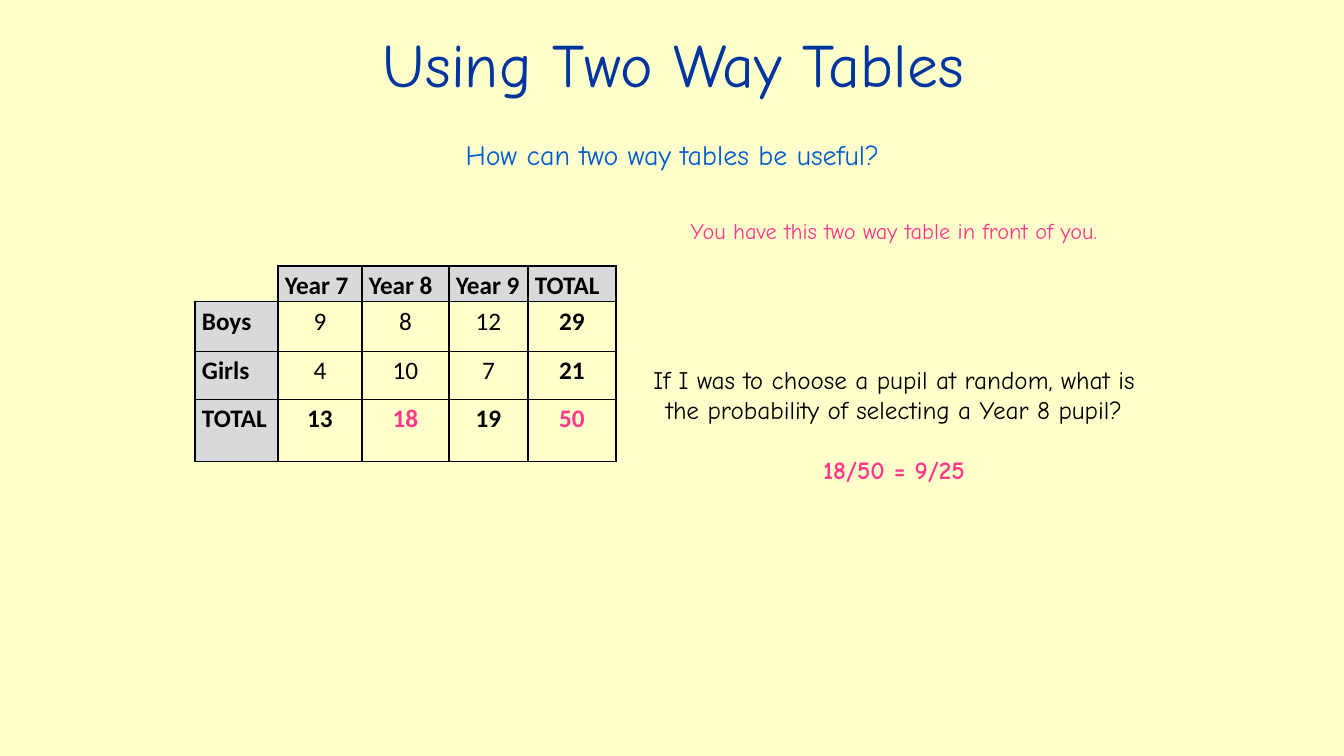
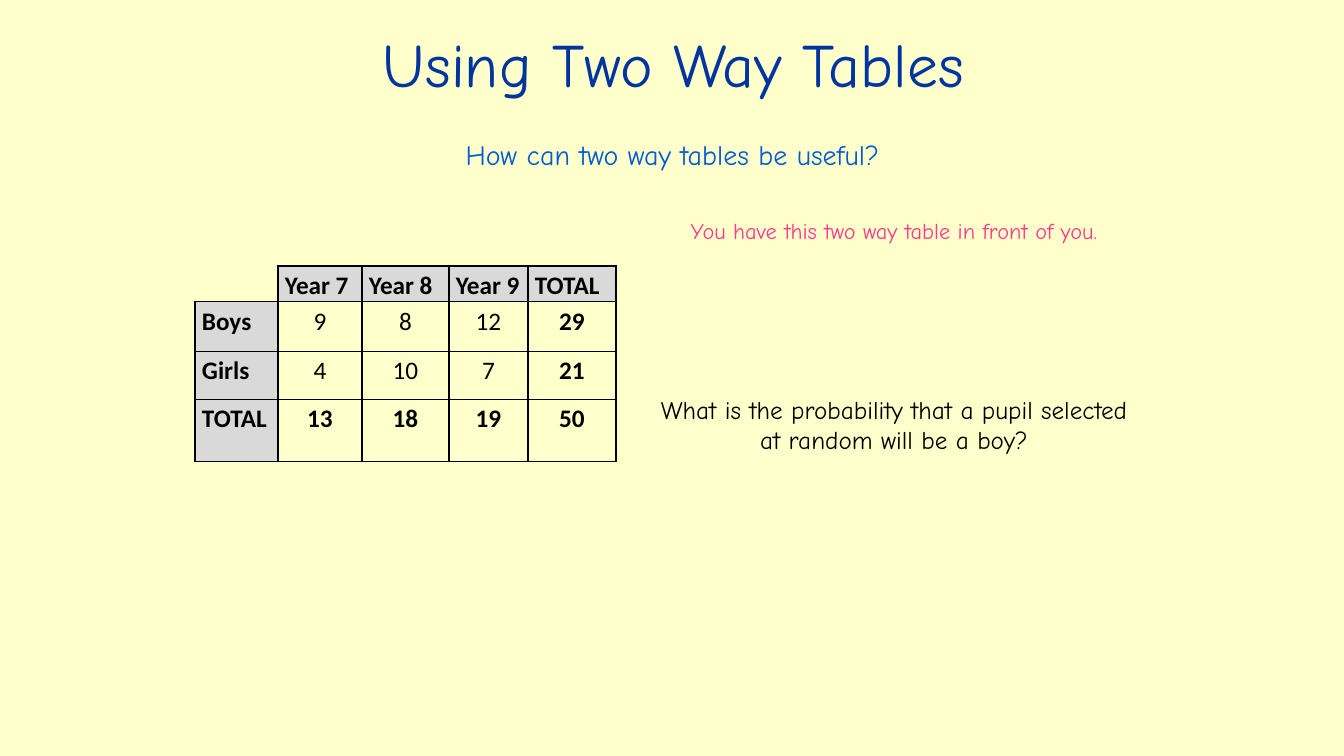
import dataclasses

import lxml.etree
import pptx
import pptx.dml.color
import pptx.enum.text
import pptx.oxml.ns
import pptx.util

ALIGN = pptx.enum.text.PP_ALIGN


@dataclasses.dataclass(frozen=True)
class Theme:
    page: str = "FFFFCC"
    head: str = "00349E"
    lead: str = "005BD3"
    mark: str = "FF388C"
    ink: str = "000000"
    grey: str = "D9D9D9"
    font: str = "Comic Neue"
    grid: str = "Calibri"
    big: int = 44
    mid: int = 20
    text: int = 18
    note: int = 16
    line: int = 1


def px(num):
    return pptx.util.Emu(round(num * 914400 / 100.8))


def tint(code):
    return pptx.dml.color.RGBColor.from_string(code)


def put(item, vals):
    for key, val in vals.items():
        setattr(item, key, val)


def add(root, tag, **vals):
    return lxml.etree.SubElement(root, pptx.oxml.ns.qn(tag), vals)


class Deck:
    def __init__(self, look):
        self.look = look
        self.show = pptx.Presentation()
        put(self.show, {"slide_width": px(1344), "slide_height": px(756)})
        self.paint(self.show.slide_master.background.fill, look.page)

    def paint(self, fill, code):
        fill.solid()
        fill.fore_color.rgb = tint(code)

    def label(self, para, text, size, code, bold=False, font=None,
              align=ALIGN.CENTER, gap=0, lines=1.0):
        put(para, {"alignment": align, "space_before": px(gap),
                   "line_spacing": lines})
        run = para.add_run()
        run.text = text
        put(run.font, {"name": font or self.look.font, "bold": bold,
                       "size": pptx.util.Pt(size)})
        run.font.color.rgb = tint(code)

    def place(self, shape, box):
        put(shape, dict(zip(("left", "top", "width", "height"), map(px, box))))
        put(shape.text_frame, {
            "word_wrap": True,
            "auto_size": pptx.enum.text.MSO_AUTO_SIZE.NONE,
            "vertical_anchor": pptx.enum.text.MSO_ANCHOR.TOP})
        return shape.text_frame.paragraphs[0]

    def slide(self, title, lead):
        look = self.look
        self.page = self.show.slides.add_slide(self.show.slide_layouts[1])
        head, body = self.page.placeholders
        self.label(self.place(head, (220, 21, 907, 126)), title,
                   look.big, look.head)
        para = self.place(body, (219, 132, 907, 603))
        props = para._p.get_or_add_pPr()
        for key in ("marL", "indent"):
            props.set(key, "0")
        add(props, "a:buNone")
        self.label(para, lead, look.mid, look.lead)

    def notes(self, box, rows):
        shape = self.page.shapes.add_textbox(*map(px, box))
        para = self.place(shape, box)
        for num, row in enumerate(rows):
            if num:
                para = shape.text_frame.add_paragraph()
            self.label(para, **row)

    def edge(self, cell, bare):
        props = cell._tc.get_or_add_tcPr()
        for side in "LRTB":
            line = add(props, f"a:ln{side}",
                       w=str(pptx.util.Pt(self.look.line)))
            if bare and side in "LT":
                add(line, "a:noFill")
            else:
                fill = add(line, "a:solidFill")
                add(fill, "a:srgbClr", val=self.look.ink)

    def table(self, left, top, cols, rows, data, marks):
        look = self.look
        grid = self.page.shapes.add_table(
            len(rows), len(cols), px(left), px(top),
            px(sum(cols)), px(sum(rows))).table
        put(grid, {"first_row": False, "horz_banding": False})
        for col, wide in zip(grid.columns, cols):
            col.width = px(wide)
        for row, high in zip(grid.rows, rows):
            row.height = px(high)
        for r, line in enumerate(data):
            for c, text in enumerate(line):
                cell = grid.cell(r, c)
                head = r == 0 or c == 0
                total = r == len(rows) - 1 or c == len(cols) - 1
                put(cell, {"margin_left": px(7), "margin_right": px(7),
                           "margin_top": 0, "margin_bottom": 0})
                self.edge(cell, not text)
                if head and text:
                    self.paint(cell.fill, look.grey)
                else:
                    cell.fill.background()
                self.label(cell.text_frame.paragraphs[0], text, look.text,
                           look.mark if (r, c) in marks else look.ink,
                           bold=head or total, font=look.grid, lines=1.15,
                           align=ALIGN.LEFT if head else ALIGN.CENTER)


PUPILS = (
    ("", "Year 7", "Year 8", "Year 9", "TOTAL"),
    ("Boys", "9", "8", "12", "29"),
    ("Girls", "4", "10", "7", "21"),
    ("TOTAL", "13", "18", "19", "50"),
)


def main():
    look = Theme()
    deck = Deck(look)
    ask = {"size": look.text, "code": look.ink}
    tasks = (
        ([{"text": "If I was to choose a pupil at random, what is the "
                   "probability of selecting a Year 8 pupil?",
           "gap": 120, **ask},
          {"text": "18/50 = 9/25", "size": look.text, "code": look.mark,
           "bold": True, "gap": 30}],
         {(3, 2), (3, 4)}),
        ([{"text": "What is the probability that a pupil selected at random "
                   "will be a boy?", "gap": 150, **ask}],
         set()),
    )
    intro = {"text": "You have this two way table in front of you.",
             "size": look.note, "code": look.mark}
    for rows, marks in tasks:
        deck.slide("Using Two Way Tables", "How can two way tables be useful?")
        deck.notes((640, 212, 508, 495), [intro, *rows])
        deck.table(195, 266, (83, 84, 87, 79, 88), (30, 50, 48, 62),
                   PUPILS, marks)
    deck.show.save("out.pptx")


if __name__ == "__main__":
    main()
